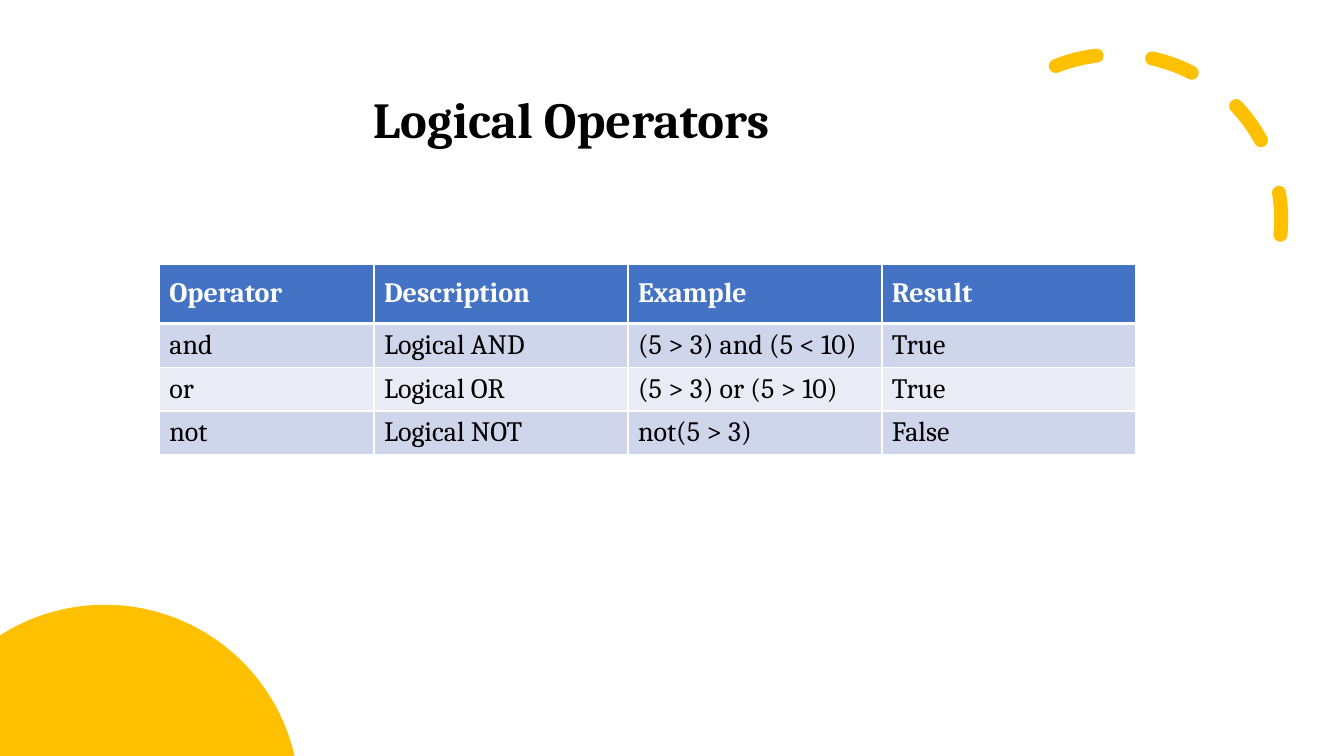
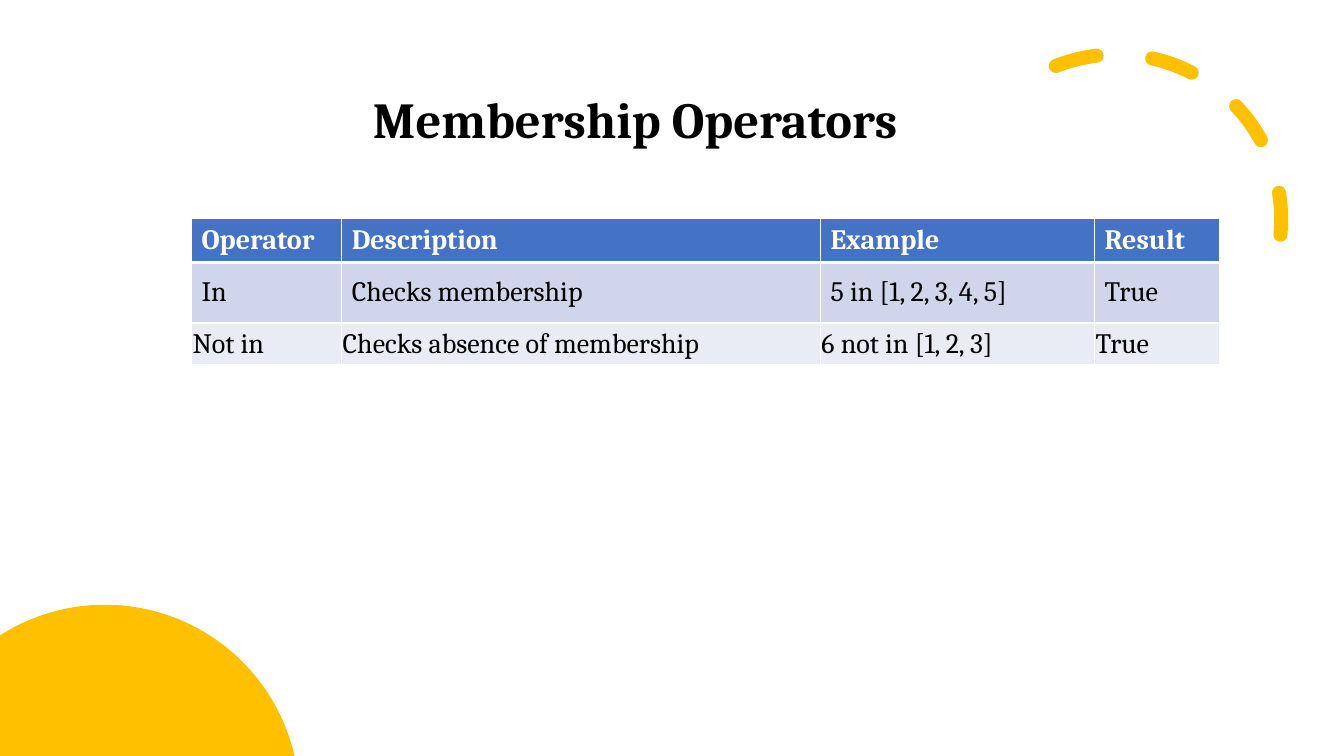
from math import acos, asin, cos, pi, sin

from pptx import Presentation as Deck
from pptx.dml.color import RGBColor as Rgb
from pptx.enum.dml import MSO_LINE as Dash
from pptx.enum.shapes import MSO_SHAPE as Kind
from pptx.enum.text import MSO_ANCHOR as Anchor, MSO_AUTO_SIZE as Fit, PP_ALIGN as Align
from pptx.oxml.ns import qn
from pptx.util import Inches, Pt
from lxml.etree import SubElement as Sub

COLS, ROWS = 80, 45
HUES = {
    "gold": "FFC000",
    "blue": "4472C4",
    "dark": "CFD5EA",
    "pale": "E9EBF5",
    "black": "000000",
    "white": "FFFFFF",
}
HEAD = ("Operator", "Description", "Example", "Result")


def grid(n):
    return Inches(n / 6)


def hue(name):
    return Rgb.from_string(HUES[name])


def write(frame, text, size=20, bold=False, color="black", space=None):
    para = frame.paragraphs[0]
    para.alignment = Align.LEFT
    para.line_spacing = space
    run = para.add_run()
    run.text = text
    font = run.font
    font.name, font.size, font.bold = "Cambria", Pt(size), bold
    font.color.rgb = hue(color)


class Board:
    def __init__(self):
        self.deck = Deck()
        self.deck.slide_width = grid(COLS)
        self.deck.slide_height = grid(ROWS)

    def start(self, title, width):
        self.slide = self.deck.slides.add_slide(self.deck.slide_layouts[5])
        self.shapes = self.slide.shapes
        self.arc()
        self.sun()
        self.title(title, width)

    def title(self, text, width):
        box = self.shapes.title
        box.left, box.top = grid(21.6), grid(4.92)
        box.width, box.height = grid(width), grid(4.26)
        frame = box.text_frame
        frame.word_wrap = False
        frame.auto_size = Fit.SHAPE_TO_FIT_TEXT
        frame.vertical_anchor = Anchor.MIDDLE
        write(frame, text, size=36, bold=True)

    def arc(self):
        side = grid(19.62)
        arc = self.shapes.add_shape(Kind.ARC, grid(56.64), grid(3.24), side, side)
        arc.shadow.inherit = False
        arc.adjustments[0], arc.adjustments[1] = 144.42, 0
        arc.rotation = 66.1
        arc._element.spPr.find(qn("a:xfrm")).set("flipH", "1")
        arc.fill.background()
        arc.line.color.rgb = hue("gold")
        arc.line.width = Pt(10)
        arc.line.dash_style = Dash.DASH
        arc.line._get_or_add_ln().set("cap", "rnd")

    def sun(self, x=6.24, y=47.58, r=11.58, steps=90):
        first, last = acos(-x / r), asin((y - ROWS) / r)
        turns = [first + (last - first) * i / steps for i in range(steps + 1)]
        rim = [(grid(x + r * cos(t)), grid(y - r * sin(t))) for t in turns]
        path = self.shapes.build_freeform(0, grid(ROWS))
        path.add_line_segments(rim, close=True)
        sun = path.convert_to_shape()
        sun.shadow.inherit = False
        sun.fill.solid()
        sun.fill.fore_color.rgb = hue("gold")
        sun.line.fill.background()

    def edge(self, cell, top, base):
        props = cell._tc.get_or_add_tcPr()
        for side, width in zip("LRTB", (1, 1, top, base)):
            line = Sub(props, qn(f"a:ln{side}"), w=str(Pt(width)))
            fill = Sub(line, qn("a:solidFill"))
            Sub(fill, qn("a:srgbClr"), val=HUES["white"])

    def table(self, left, top, cols, rows, data, tight=()):
        table = self.shapes.add_table(
            len(rows), len(cols), grid(left), grid(top), grid(sum(cols)), grid(sum(rows))
        ).table
        for col, width in zip(table.columns, cols):
            col.width = grid(width)
        for i, (height, texts) in enumerate(zip(rows, (HEAD, *data))):
            table.rows[i].height = grid(height)
            for j, text in enumerate(texts):
                self.cell(table.cell(i, j), text, i, i in tight)

    def cell(self, cell, text, row, tight):
        head = row == 0
        self.edge(cell, 3 if row == 1 else 1, 3 if head else 1)
        cell.fill.solid()
        cell.fill.fore_color.rgb = hue("blue" if head else ("pale", "dark")[row % 2])
        cell.vertical_anchor = Anchor.MIDDLE
        if tight:
            cell.margin_left = cell.margin_right = Inches(0.01)
            cell.margin_top = cell.margin_bottom = Inches(0.01)
        write(
            cell.text_frame,
            text,
            bold=head,
            color="white" if head else "black",
            space=1.07 if tight else None,
        )


def main():
    board = Board()
    board.start("Logical Operators", 25.86)
    board.table(
        9.48, 15.72, (12.78, 15.12, 15.12, 15.12), (3.54, 2.46, 2.46, 2.46),
        (
            ("and", "Logical AND", "(5 > 3) and (5 < 10)", "True"),
            ("or", "Logical OR", "(5 > 3) or (5 > 10)", "True"),
            ("not", "Logical NOT", "not(5 > 3)", "False"),
        ),
    )
    board.start("Membership Operators", 33.54)
    board.table(
        11.4, 13.02, (8.94, 28.5, 16.32, 7.44), (2.46, 3.6, 2.46),
        (
            ("In", "Checks membership", "5 in [1, 2, 3, 4, 5]", "True"),
            ("Not in", "Checks absence of membership", "6 not in [1, 2, 3]", "True"),
        ),
        tight=(2,),
    )
    board.deck.save("out.pptx")


if __name__ == "__main__":
    main()
